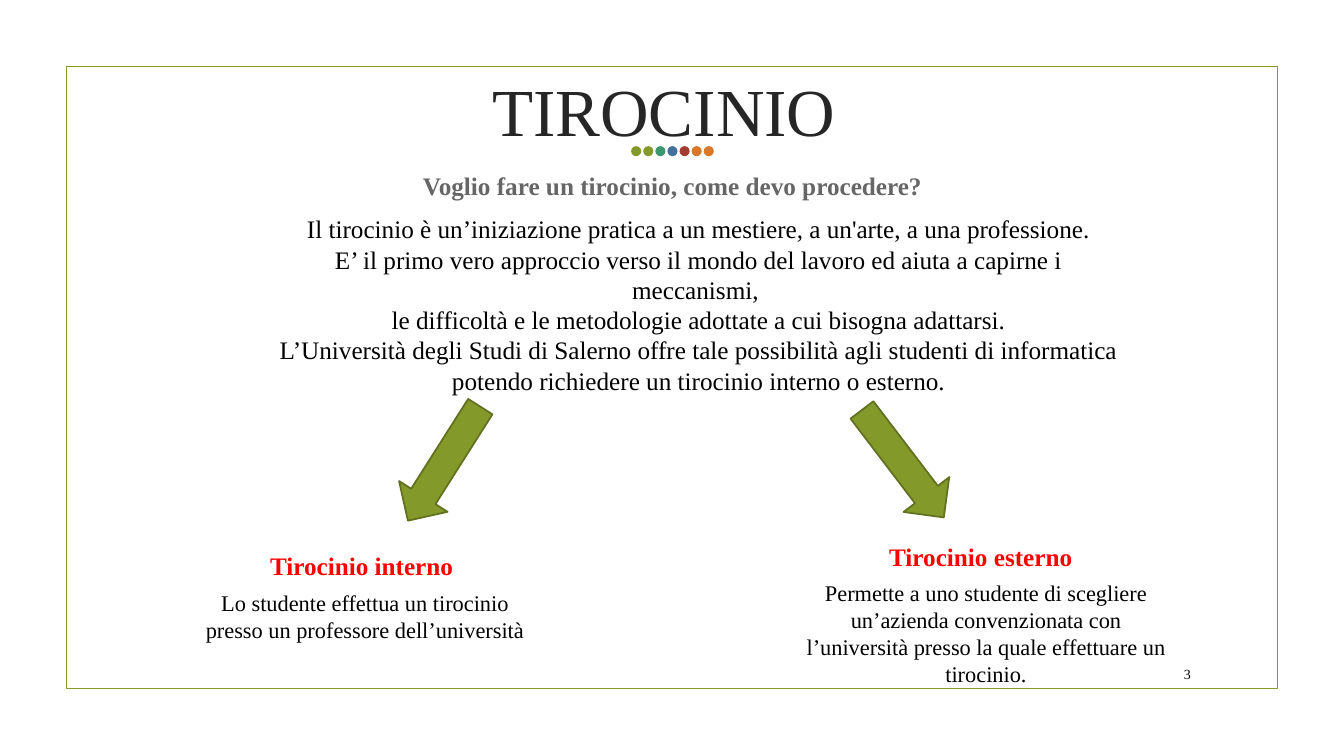
from dataclasses import dataclass

from pptx import Presentation
from pptx.dml.color import RGBColor
from pptx.enum.shapes import MSO_SHAPE as Shape
from pptx.enum.text import MSO_ANCHOR as Anchor, MSO_AUTO_SIZE as Auto, PP_ALIGN as Align
from pptx.util import Pt

PX = 9144  # EMU in one px, 100 px to the inch
FONT = "Times New Roman"

GREEN = RGBColor(0x83, 0x99, 0x2A)
MOSS = RGBColor(0x61, 0x71, 0x1F)
TEAL = RGBColor(0x3C, 0x97, 0x70)
BLUE = RGBColor(0x44, 0x70, 0x9D)
BRICK = RGBColor(0xA2, 0x3C, 0x33)
ORANGE = RGBColor(0xD9, 0x78, 0x28)
DARK = RGBColor(0x26, 0x26, 0x26)
GREY = RGBColor(0x66, 0x66, 0x66)
BLACK = RGBColor(0, 0, 0)
RED = RGBColor(0xFF, 0, 0)

DOTS = [GREEN, GREEN, TEAL, BLUE, BRICK, ORANGE, ORANGE]


@dataclass
class Box:
    left: int
    top: int
    width: int
    height: int

    def emu(self) -> tuple[int, ...]:
        return tuple(n * PX for n in (self.left, self.top, self.width, self.height))


@dataclass
class Label:
    box: Box
    text: str
    size: int
    color: RGBColor = BLACK
    bold: bool = False
    align: Align = Align.CENTER
    anchor: Anchor = Anchor.TOP
    wrap: bool = True


@dataclass
class Arrow:
    box: Box
    turn: float


INTRO = "\n".join([
    "Il tirocinio è un’iniziazione pratica a un mestiere, a un'arte, a una professione.",
    "E’ il primo vero approccio verso il mondo del lavoro ed aiuta a capirne i meccanismi, ",
    "le difficoltà e le metodologie adottate a cui bisogna adattarsi.",
    "L’Università degli Studi di Salerno offre tale possibilità agli studenti di informatica "
    "potendo richiedere un tirocinio interno o esterno.",
])
INNER = "Lo studente effettua un tirocinio presso un professore dell’università"
OUTER = ("Permette a uno studente di scegliere un’azienda convenzionata con "
         "l’università presso la quale effettuare un tirocinio.")

FRAME = Box(66, 66, 1201, 617)
TITLE = Label(Box(92, 63, 1150, 92), "TIROCINIO ", 48, DARK, anchor=Anchor.MIDDLE)
LABELS = [
    Label(Box(92, 164, 1150, 29), "Voglio fare un tirocinio, come devo procedere?", 18, GREY, True),
    Label(Box(258, 207, 870, 162), INTRO, 18),
    Label(Box(258, 541, 207, 40), "Tirocinio interno", 18, RED, True, Align.LEFT),
    Label(Box(186, 580, 352, 91), INNER, 16),
    Label(Box(872, 532, 212, 40), "Tirocinio esterno", 18, RED, True, Align.LEFT, wrap=False),
    Label(Box(783, 570, 390, 121), OUTER, 16),
    Label(Box(1132, 653, 59, 31), "3", 10, align=Align.RIGHT, anchor=Anchor.MIDDLE),
]
ARROWS = [Arrow(Box(412, 393, 57, 134), 32.4), Arrow(Box(867, 393, 57, 134), 322.7)]


def write(shape, label: Label) -> None:
    frame = shape.text_frame
    frame.text = label.text
    frame.word_wrap = label.wrap
    frame.auto_size = Auto.NONE
    frame.vertical_anchor = label.anchor
    for para in frame.paragraphs:
        para.alignment = label.align
        for run in para.runs:
            font = run.font
            font.name, font.size, font.bold = FONT, Pt(label.size), label.bold
            font.color.rgb = label.color


def draw(slide, kind: Shape, box: Box, fill: RGBColor | None, line: RGBColor | None):
    shape = slide.shapes.add_shape(kind, *box.emu())
    shape.shadow.inherit = False
    if fill is None:
        shape.fill.background()
    else:
        shape.fill.solid()
        shape.fill.fore_color.rgb = fill
    if line is None:
        shape.line.fill.background()
    else:
        shape.line.color.rgb = line
        shape.line.width = Pt(1.25)
    return shape


def main() -> None:
    deck = Presentation()
    deck.slide_width, deck.slide_height = 1333 * PX, 750 * PX
    slide = deck.slides.add_slide(deck.slide_layouts[5])

    # Frame and row of dots
    draw(slide, Shape.RECTANGLE, FRAME, None, GREEN)
    for i, color in enumerate(DOTS):
        draw(slide, Shape.OVAL, Box(626 + 12 * i, 145, 10, 10), color, None)

    # Title and texts
    title = slide.shapes.title
    title.left, title.top, title.width, title.height = TITLE.box.emu()
    write(title, TITLE)
    for label in LABELS:
        write(slide.shapes.add_textbox(*label.box.emu()), label)

    # Arrows to the two kinds of internship
    for arrow in ARROWS:
        draw(slide, Shape.DOWN_ARROW, arrow.box, GREEN, MOSS).rotation = arrow.turn

    deck.save("out.pptx")


if __name__ == "__main__":
    main()
